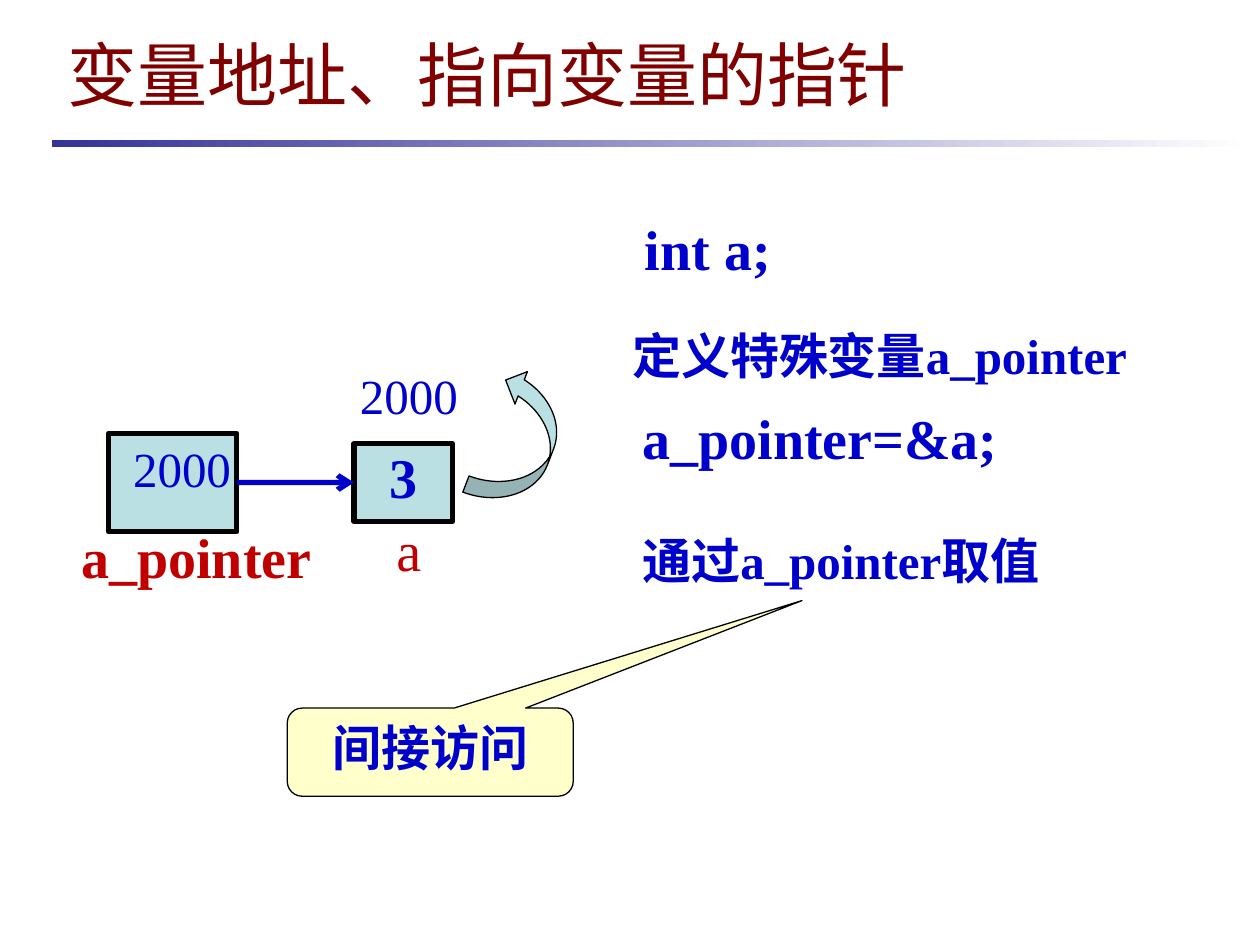
import pptx
import pptx.util
import pptx.dml.color
import pptx.enum.shapes
import pptx.enum.text
import lxml.etree
from dataclasses import dataclass
from pptx.oxml.ns import qn

Pt = pptx.util.Pt
Kind = pptx.enum.shapes.MSO_SHAPE
Align = pptx.enum.text.PP_ALIGN
Anchor = pptx.enum.text.MSO_ANCHOR

HUES = {
    "blue": "0000CC", "red": "C00000", "title": "800000", "aqua": "BBE0E3",
    "cream": "FFFFCC", "black": "000000", "navy": "333399", "white": "FFFFFF",
}
WIDE = pptx.util.Inches(10)
TALL = pptx.util.Inches(7.5)


@dataclass
class Area:
    col: float
    row: float
    cols: float
    rows: float

    def place(self) -> list[int]:
        return [round(WIDE * self.col / 100), round(TALL * self.row / 100),
                round(WIDE * self.cols / 100), round(TALL * self.rows / 100)]


@dataclass
class Words:
    text: str
    size: int = 32
    hue: str = "blue"
    bold: bool = True
    mid: bool = False
    face: str = "Times New Roman"
    pitch: float = 0.8
    lead: float = 0.2
    wrap: bool = True


@dataclass
class Label:
    area: Area
    words: Words


def tint(name: str) -> pptx.dml.color.RGBColor:
    return pptx.dml.color.RGBColor.from_string(HUES[name])


def write(shape, words: Words) -> None:
    frame = shape.text_frame
    frame.word_wrap = words.wrap
    frame.vertical_anchor = Anchor.MIDDLE
    para = frame.paragraphs[0]
    para.text = words.text
    para.alignment = Align.CENTER if words.mid else Align.LEFT
    para.line_spacing = words.pitch
    para.space_before = Pt(words.size * words.lead)
    font = para.font
    font.name, font.size, font.bold = words.face, Pt(words.size), words.bold
    font.color.rgb = tint(words.hue)


def label(slide, item: Label) -> None:
    write(slide.shapes.add_textbox(*item.area.place()), item.words)


def block(slide, kind, area: Area, fill: str, width: float):
    shape = slide.shapes.add_shape(kind, *area.place())
    shape.shadow.inherit = False
    shape.fill.solid()
    shape.fill.fore_color.rgb = tint(fill)
    shape.line.color.rgb = tint("black")
    shape.line.width = Pt(width)
    return shape


def adjust(shape, *values: float) -> None:
    for i, value in enumerate(values):
        shape.adjustments[i] = value


def rule(slide, area: Area) -> None:
    bar = slide.shapes.add_shape(Kind.RECTANGLE, *area.place())
    bar.shadow.inherit = False
    bar.line.fill.background()
    bar.fill.gradient()
    bar.fill.gradient_angle = 0
    for stop, name, spot in zip(bar.fill.gradient_stops, ("navy", "white"), (0, 1)):
        stop.color.rgb = tint(name)
        stop.position = spot


def link(slide, start, end) -> None:
    line = slide.shapes.add_connector(pptx.enum.shapes.MSO_CONNECTOR.STRAIGHT, 0, 0, 0, 0)
    line.begin_connect(start, 3)
    line.end_connect(end, 1)
    line.line.color.rgb = tint("blue")
    line.line.width = Pt(3)
    lxml.etree.SubElement(line.line._get_or_add_ln(), qn("a:tailEnd"), type="arrow")
    lxml.etree.SubElement(line._element.spPr, qn("a:effectLst"))


LABELS = [
    Label(Area(4.4, 2.13, 90.6, 11.2),
          Words("变量地址、指向变量的指针", 40, "title", False, face="Arial", pitch=1, lead=0)),
    Label(Area(50.2, 23.33, 14.8, 7.07), Words("int a;")),
    Label(Area(49.2, 32.27, 47.7, 9.33), Words("定义特殊变量a_pointer", 28, pitch=1.2, lead=0)),
    Label(Area(50, 43.33, 38.3, 7.07), Words("a_pointer=&a;")),
    Label(Area(50, 56.67, 37.9, 6.4), Words("通过a_pointer取值", 28)),
    Label(Area(29.7, 55.2, 5.5, 7.07), Words("a", hue="red", bold=False, mid=True)),
    Label(Area(3.1, 56, 25, 7.07), Words("a_pointer", hue="red", mid=True)),
    Label(Area(26.6, 39.2, 11.7, 6.4), Words("2000", 28, bold=False, mid=True)),
    Label(Area(8.6, 46.93, 11.7, 6.4), Words("2000", 28, bold=False, mid=True)),
]


def main() -> None:
    deck = pptx.Presentation()
    deck.slide_width, deck.slide_height = WIDE, TALL
    slide = deck.slides.add_slide(deck.slide_layouts[6])

    rule(slide, Area(4.1, 14.8, 95.1, 0.8))
    value = block(slide, Kind.RECTANGLE, Area(28.1, 46.93, 7.8, 8.27), "aqua", 3)
    write(value, Words("3", mid=True, wrap=False))
    pointer = block(slide, Kind.RECTANGLE, Area(8.6, 45.87, 10.2, 10.4), "aqua", 3)

    curve = block(slide, Kind.CURVED_RIGHT_ARROW, Area(38.5, 39.33, 5.5, 14.53), "aqua", 0.75)
    curve.rotation = 200.9
    adjust(curve, 0.25, 0.5, 0.25)

    note = block(slide, Kind.ROUNDED_RECTANGULAR_CALLOUT,
                 Area(22.8, 74.93, 22.7, 9.33), "cream", 0.75)
    adjust(note, 1.3, -1.72, 0.17)
    write(note, Words("间接访问", 28, mid=True))

    for item in LABELS:
        label(slide, item)
    link(slide, pointer, value)
    deck.save("out.pptx")


if __name__ == "__main__":
    main()
